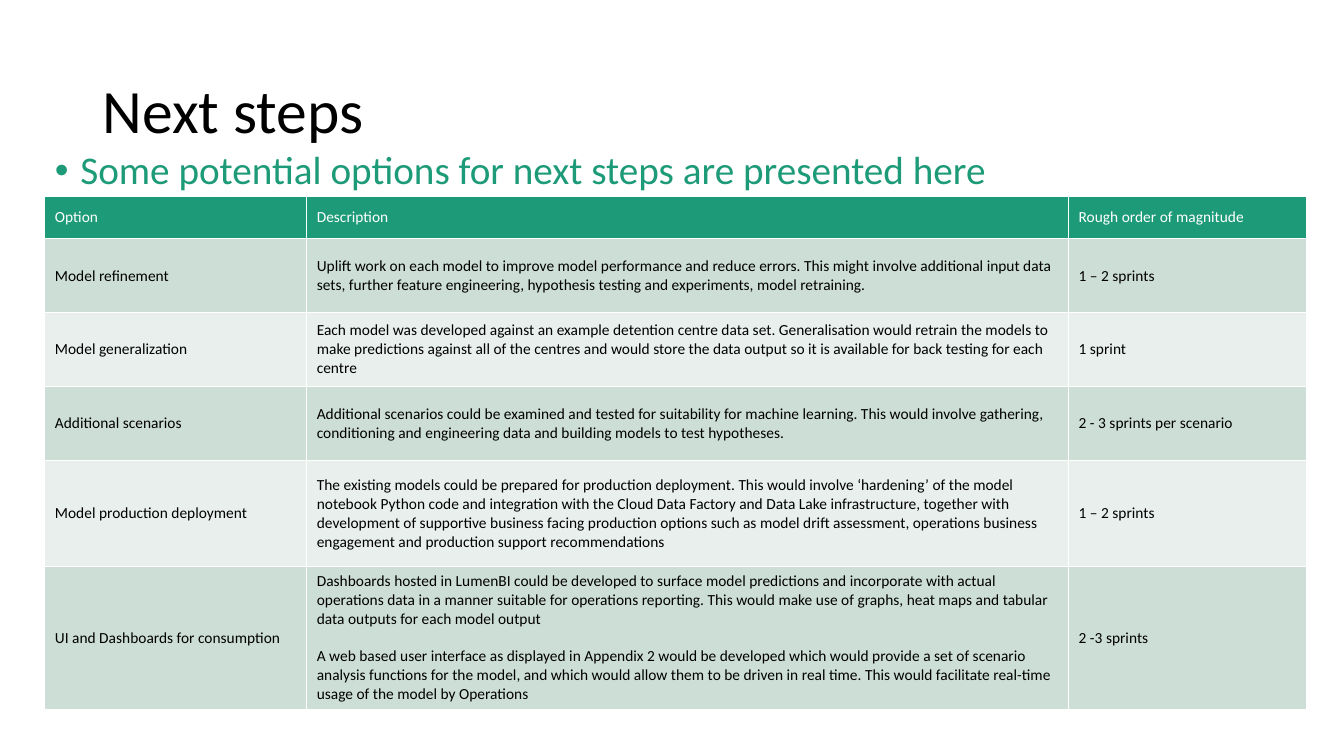
from dataclasses import dataclass
from typing import Any

import pptx
import pptx.dml.color
import pptx.enum.text
import pptx.oxml
import pptx.oxml.ns
import pptx.util
from pptx.util import Cm

RGBColor = pptx.dml.color.RGBColor
Pt = pptx.util.Pt
GREEN = RGBColor(0x1D, 0x9A, 0x78)
DARK_BAND = RGBColor(0xCD, 0xDE, 0xD6)
LIGHT_BAND = RGBColor(0xE8, 0xEF, 0xEC)
WHITE = RGBColor(0xFF, 0xFF, 0xFF)
BLACK = RGBColor(0, 0, 0)

MIDDLE = pptx.enum.text.MSO_ANCHOR.MIDDLE
TOP = pptx.enum.text.MSO_ANCHOR.TOP
LEFT = pptx.enum.text.PP_ALIGN.LEFT
NO_AUTOFIT = pptx.enum.text.MSO_AUTO_SIZE.NONE
GROW = pptx.enum.text.MSO_AUTO_SIZE.SHAPE_TO_FIT_TEXT

TITLE_FONT = {"name": "Calibri", "size": Pt(44), "bold": False}
BODY_FONT = {"name": "Calibri", "size": Pt(28), "bold": False}
TABLE_FONT = {"name": "Calibri", "size": Pt(11), "bold": False}
COLUMN_WIDTHS = (Cm(6.6), Cm(19.2), Cm(6))


@dataclass(frozen=True)
class OptionRow:
    option: str
    description: tuple[str, ...]
    magnitude: str
    height: int


HEADER = OptionRow("Option", ("Description",), "Rough order of magnitude", Cm(1.08))
OPTIONS = (
    OptionRow(
        "Model refinement",
        ("Uplift work on each model to improve model performance and reduce errors. "
         "This might involve additional input data sets, further feature engineering, "
         "hypothesis testing and experiments, model retraining.",),
        "1 – 2 sprints", Cm(1.86)),
    OptionRow(
        "Model generalization",
        ("Each model was developed against an example detention centre data set. "
         "Generalisation would retrain the models to make predictions against all of the "
         "centres and would store the data output so it is available for back testing "
         "for each centre",),
        "1 sprint", Cm(1.86)),
    OptionRow(
        "Additional scenarios",
        ("Additional scenarios could be examined and tested for suitability for machine "
         "learning. This would involve gathering, conditioning and engineering data and "
         "building models to test hypotheses.",),
        "2 - 3 sprints per scenario", Cm(1.86)),
    OptionRow(
        "Model production deployment",
        ("The existing models could be prepared for production deployment. This would "
         "involve ‘hardening’ of the model notebook Python code and integration with the "
         "Cloud Data Factory and Data Lake infrastructure, together with development of "
         "supportive business facing production options such as model drift assessment, "
         "operations business engagement and production support recommendations",),
        "1 – 2 sprints", Cm(2.67)),
    OptionRow(
        "UI and Dashboards for consumption",
        ("Dashboards hosted in LumenBI could be developed to surface model predictions and "
         "incorporate with actual operations data in a manner suitable for operations "
         "reporting. This would make use of graphs, heat maps and tabular data outputs for "
         "each model output",
         "A web based user interface as displayed in Appendix 2 would be developed which "
         "would provide a set of scenario analysis functions for the model, and which would "
         "allow them to be driven in real time. This would facilitate real-time usage of "
         "the model by Operations"),
        "2 -3 sprints", Cm(3.6)),
)


def apply_format(target: Any, values: dict[str, Any]) -> None:
    for name, value in values.items():
        setattr(target, name, value)


def write_run(paragraph: Any, text: str, font: dict[str, Any], color: RGBColor) -> None:
    run = paragraph.add_run()
    run.text = text
    apply_format(run.font, font)
    run.font.color.rgb = color


def fill_placeholder(shape: Any, box: dict[str, int], frame: dict[str, Any],
                     text: str, font: dict[str, Any], color: RGBColor) -> Any:
    """Place and format a placeholder and return its only paragraph."""
    apply_format(shape, box)
    apply_format(shape.text_frame, frame)
    paragraph = shape.text_frame.paragraphs[0]
    apply_format(paragraph, {"alignment": LEFT, "line_spacing": 0.9})
    write_run(paragraph, text, font, color)
    return paragraph


def set_bullet(paragraph: Any, indent: int) -> None:
    properties = paragraph._p.get_or_add_pPr()
    properties.set("marL", str(indent))
    properties.set("indent", str(-indent))
    namespace = pptx.oxml.ns.nsdecls("a")
    properties.append(pptx.oxml.parse_xml(f'<a:buFont {namespace} typeface="Arial"/>'))
    properties.append(pptx.oxml.parse_xml(f'<a:buChar {namespace} char="•"/>'))


def add_borders(cell: Any) -> None:
    properties = cell._tc.get_or_add_tcPr()
    for side in ("lnL", "lnR", "lnT", "lnB"):
        properties.append(pptx.oxml.parse_xml(
            f'<a:{side} {pptx.oxml.ns.nsdecls("a")} w="{Pt(1)}"><a:solidFill>'
            f'<a:srgbClr val="{WHITE}"/></a:solidFill></a:{side}>'))


def fill_cell(cell: Any, texts: tuple[str, ...], fill: RGBColor, color: RGBColor) -> None:
    add_borders(cell)
    cell.fill.solid()
    cell.fill.fore_color.rgb = fill
    cell.vertical_anchor = MIDDLE
    for index, text in enumerate(texts):
        paragraph = cell.text_frame.add_paragraph() if index else cell.text_frame.paragraphs[0]
        if index:
            paragraph.space_before = Pt(13.4)
        write_run(paragraph, text, TABLE_FONT, color)


def add_options_table(slide: Any) -> None:
    rows = (HEADER, *OPTIONS)
    table = slide.shapes.add_table(
        len(rows), len(COLUMN_WIDTHS), Cm(1.13), Cm(4.94),
        sum(COLUMN_WIDTHS), sum(row.height for row in rows)).table
    for column, width in zip(table.columns, COLUMN_WIDTHS):
        column.width = width
    for index, row in enumerate(rows):
        table.rows[index].height = row.height
        band = DARK_BAND if index % 2 else LIGHT_BAND
        fill, color = (band, BLACK) if index else (GREEN, WHITE)
        contents = ((row.option,), row.description, (row.magnitude,))
        for cell, texts in zip(table.rows[index].cells, contents):
            fill_cell(cell, texts, fill, color)


def main() -> None:
    presentation = pptx.Presentation()
    apply_format(presentation, {"slide_width": Cm(33.87), "slide_height": Cm(19.05)})
    slide = presentation.slides.add_slide(presentation.slide_layouts[1])
    fill_placeholder(
        slide.shapes.title,
        {"left": Cm(2.33), "top": Cm(1.01), "width": Cm(29.21), "height": Cm(3.68)},
        {"vertical_anchor": MIDDLE, "auto_size": NO_AUTOFIT, "word_wrap": True},
        "Next steps", TITLE_FONT, BLACK)
    lead = fill_placeholder(
        slide.placeholders[1],
        {"left": Cm(1.13), "top": Cm(3.68), "width": Cm(31.6), "height": Cm(0.87)},
        {"vertical_anchor": TOP, "auto_size": GROW, "word_wrap": True},
        "Some potential options for next steps are presented here", BODY_FONT, GREEN)
    lead.space_before = Pt(10)
    set_bullet(lead, Cm(0.64))
    add_options_table(slide)
    presentation.save("out.pptx")


if __name__ == "__main__":
    main()
